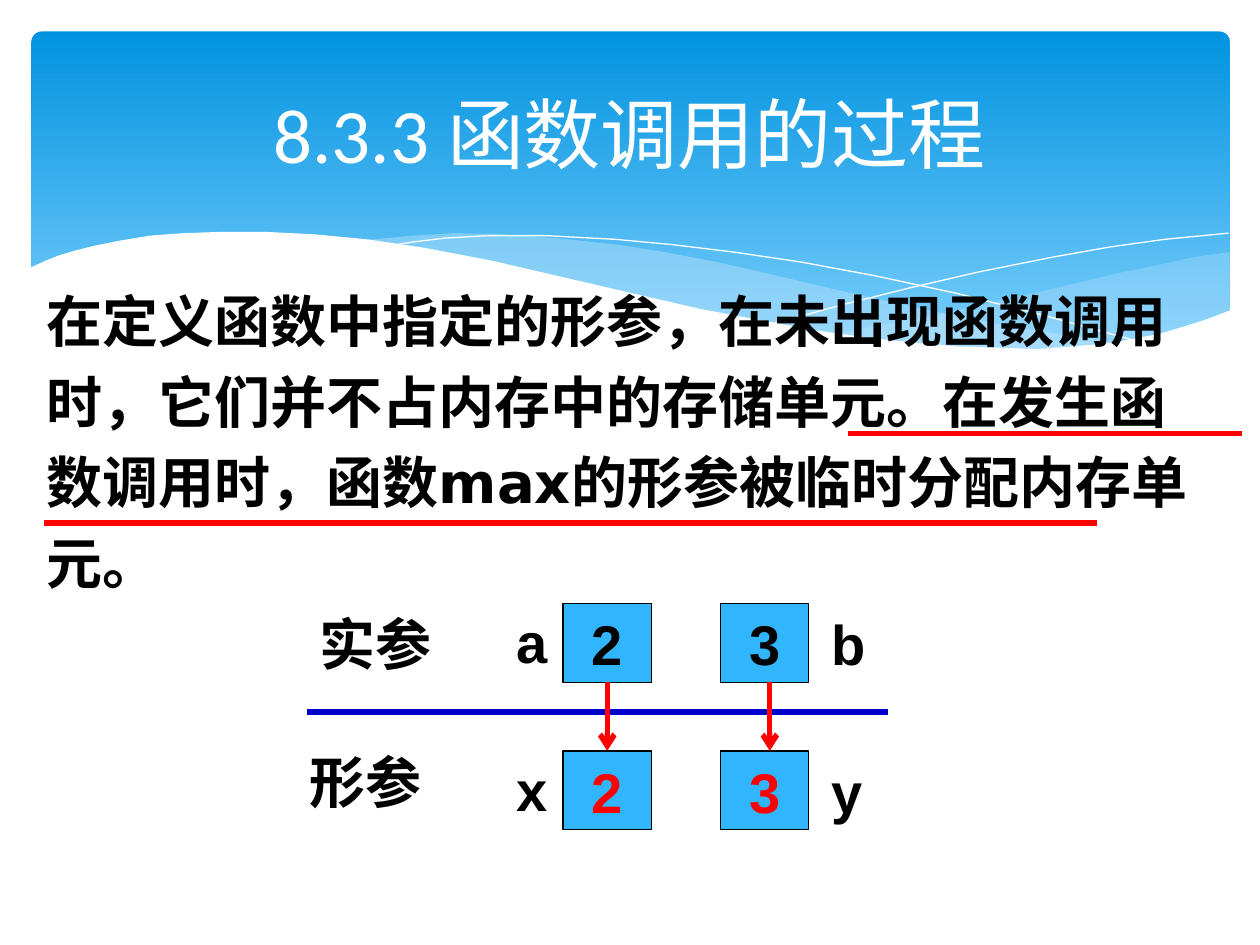
"""Builds the slide on how arguments are passed when a function is called."""
from lxml.etree import SubElement
from pptx import Presentation
from pptx.dml.color import RGBColor
from pptx.enum.shapes import MSO_CONNECTOR as Connector, MSO_SHAPE as Shape
from pptx.enum.text import MSO_ANCHOR as Anchor, PP_ALIGN as Align
from pptx.oxml.ns import qn
from pptx.util import Pt

color = RGBColor.from_string


def write(shape, text, font="Arial", size=32, ink="000000", bold=True, align=Align.LEFT, wrap=True):
    frame = shape.text_frame
    frame.text = text
    frame.word_wrap = wrap
    frame.vertical_anchor = Anchor.TOP
    para = frame.paragraphs[0]
    para.alignment = align
    span = para.runs[0]
    span.font.name, span.font.size, span.font.bold = font, Pt(size), bold
    span.font.color.rgb = color(ink)
    return para


deck = Presentation()
deck.slide_width, deck.slide_height = Pt(720), Pt(540)
page = deck.slides.add_slide(deck.slide_layouts[5])
shapes = page.shapes

banner = shapes.add_shape(Shape.ROUNDED_RECTANGLE, Pt(18), Pt(18), Pt(684.7), Pt(194.4))
banner.adjustments[0] = 0.03
banner.shadow.inherit = False
banner.line.fill.background()
banner.fill.gradient()
banner.fill.gradient_angle = 270
for stop, shade in zip(banner.fill.gradient_stops, ("0293E0", "83D3FE")):
    stop.color.rgb = color(shade)

right_wave = [
    (976, 200), (948, 204), (921, 210), (891, 216), (832, 230), (779, 242), (729, 253), (661, 265),
    (691, 269), (718, 273), (745, 275), (781, 277), (814, 278), (844, 277), (872, 274), (897, 270),
    (921, 265), (942, 259), (963, 252), (976, 247)]
middle_wave = [
    (893, 273), (866, 269), (807, 260), (741, 247), (668, 231), (613, 218), (569, 208), (527, 200),
    (489, 194), (441, 189), (399, 186), (361, 185), (328, 187), (286, 191), (323, 196), (362, 203),
    (404, 211), (449, 222), (530, 240), (601, 255), (650, 264), (695, 270), (736, 275), (773, 278),
    (807, 279), (838, 278), (867, 276), (893, 273)]
falling_curve = [
    (309, 195), (328, 192), (353, 189), (387, 187), (433, 187), (489, 190), (532, 194), (582, 200),
    (636, 208), (695, 219), (760, 233), (831, 251), (907, 272)]
rising_curve = [
    (613, 257), (672, 241), (720, 229), (776, 216), (836, 204), (881, 196), (924, 190), (975, 185)]
white_wave = [
    (977, 246), (959, 253), (940, 259), (920, 265), (899, 269), (875, 273), (850, 275), (823, 277),
    (793, 276), (761, 275), (726, 272), (688, 268), (647, 262), (603, 254), (555, 245), (503, 233),
    (447, 220), (391, 207), (339, 197), (292, 190), (250, 186), (211, 184), (176, 184), (146, 185),
    (119, 187), (95, 191), (75, 195), (59, 199), (46, 203), (36, 207), (23, 213), (23, 329), (977, 329)]
for points, fill, opacity in (
        (right_wave, "C6E7FC", 29), (middle_wave, "C6E7FC", 40), (falling_curve, None, 100),
        (rising_curve, None, 100), (white_wave, "FFFFFF", 100)):
    builder = shapes.build_freeform(*points[0], scale=Pt(0.72))
    builder.add_line_segments(points[1:], close=fill is not None)
    wave = builder.convert_to_shape()
    wave.shadow.inherit = False
    if fill:
        wave.fill.solid()
        wave.fill.fore_color.rgb = color(fill)
        wave.line.fill.background()
        if opacity < 100:
            tint = wave._element.spPr.find(".//" + qn("a:srgbClr"))
            SubElement(tint, qn("a:alpha")).set("val", str(opacity * 1000))
    else:
        wave.fill.background()
        wave.line.color.rgb = color("FFFFFF")
        wave.line.width = Pt(0)

body = shapes.add_textbox(Pt(19.4), Pt(152.6), Pt(686.2), Pt(168.5))
body_para = write(
    body,
    "在定义函数中指定的形参，在未出现函数调用时，它们并不占内存中的存储单元。在发生函数调用时，函数max的形参被临时分配内存单元。",
    font="DejaVu Sans")
body_para.line_spacing = 1.2

for top, ink in ((344.9, "000000"), (429.1, "FF0000")):
    for left, value in ((321.8, "2"), (411.8, "3")):
        box = shapes.add_shape(Shape.FLOWCHART_PROCESS, Pt(left), Pt(top), Pt(50.4), Pt(45))
        box.shadow.inherit = False
        box.fill.solid()
        box.fill.fore_color.rgb = color("31B6FD")
        box.line.color.rgb = color("000000")
        box.line.width = Pt(0.75)
        write(box, value, ink=ink, align=Align.CENTER, wrap=False)

for text, left, top, width in (
        ("a", 288, 343.4, 39.6), ("b", 468, 344.9, 39.6),
        ("x", 288, 428.4, 39.6), ("y", 468, 429.1, 39.6),
        ("实参", 175.7, 344.9, 90), ("形参", 169.9, 423.4, 90)):
    write(shapes.add_textbox(Pt(left), Pt(top), Pt(width), Pt(46)), text)

for x1, y1, x2, y2, ink, arrow in (
        (25.2, 298.8, 627.1, 298.8, "FF0000", False),
        (484.6, 247.7, 709.9, 247.7, "FF0000", False),
        (175.7, 406.8, 507.6, 406.8, "0000CC", False),
        (347, 389.5, 347, 429.1, "FF0000", True),
        (439.9, 389.5, 439.9, 429.1, "FF0000", True)):
    line = shapes.add_connector(Connector.STRAIGHT, Pt(x1), Pt(y1), Pt(x2), Pt(y2))
    line.line.color.rgb = color(ink)
    line.line.width = Pt(3)
    if arrow:
        SubElement(line.line._get_or_add_ln(), qn("a:tailEnd")).set("type", "arrow")
    SubElement(line._element.spPr, qn("a:effectLst"))

title = shapes.title
title.left, title.top, title.width, title.height = Pt(36), Pt(26.6), Pt(648), Pt(98.6)
write(title, "8.3.3 函数调用的过程", font="Calibri", size=44, ink="FFFFFF", bold=False, align=Align.CENTER)
title.text_frame.vertical_anchor = Anchor.MIDDLE
shapes._spTree.append(title._element)

deck.save("out.pptx")
